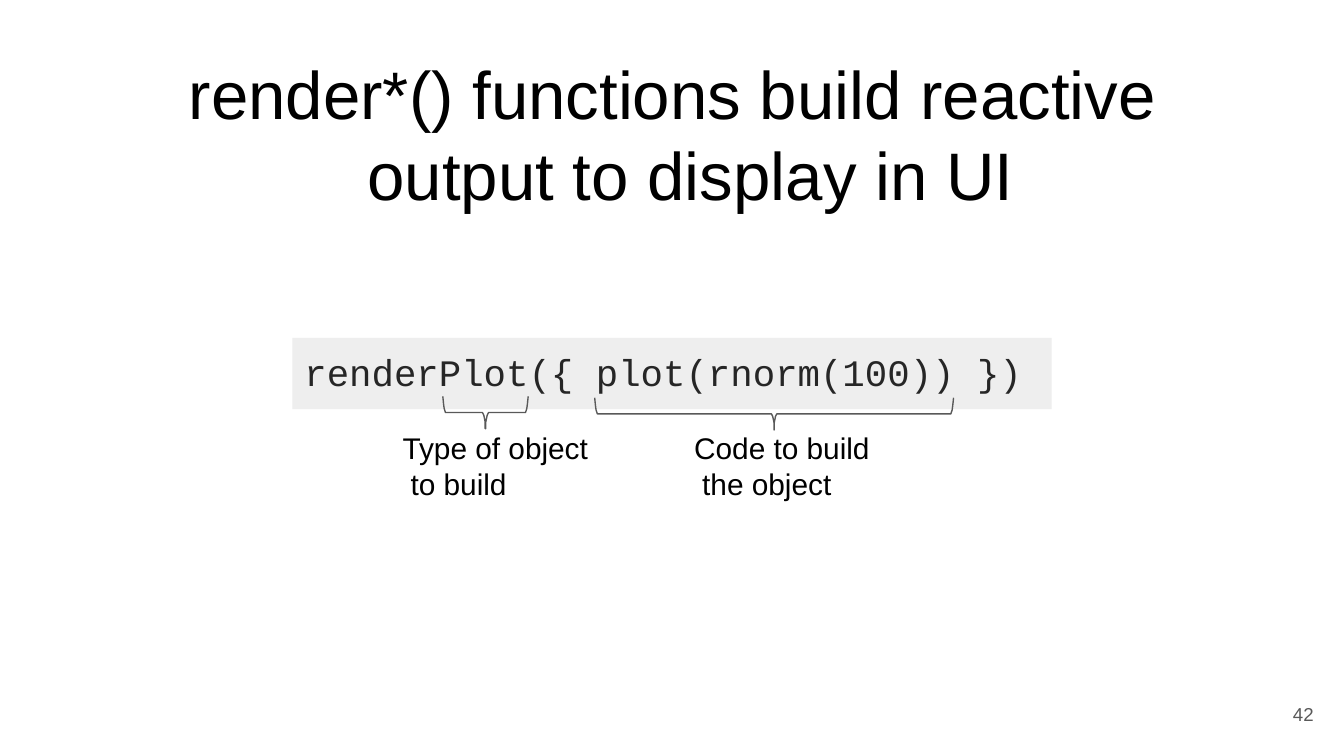
from dataclasses import dataclass

from pptx import Presentation
from pptx.dml.color import RGBColor as RGB
from pptx.enum.shapes import MSO_SHAPE as Shape
from pptx.util import Pt

PX = 4572  # EMU per px, 200 px to the inch
WIDTH, HEIGHT = 2000, 1125
COLORS = {"black": "000000", "code": "262626", "panel": "EEEEEE", "gray": "595959"}


@dataclass
class Label:
    text: str
    box: tuple[int, int, int, int]
    size: int
    color: str = "black"
    font: str = "Arial"
    margin: int = 2
    indent: int = 0
    spacing: float = 1.0
    inset_top: int = 2


@dataclass
class Brace:
    left: int
    right: int
    top: int


LABELS = [
    Label("render*() functions build reactive output to display in UI",
          (278, 76, 1444, 242), 36, margin=269, indent=-266),
    Label("renderPlot({ plot(rnorm(100)) })", (451, 517, 1072, 70), 20,
          "code", "Courier New"),
    Label("Code to build the object", (1031, 637, 268, 110), 16,
          margin=14, indent=-12, spacing=1.01),
    Label("Type of object to build", (597, 637, 284, 110), 16,
          margin=14, indent=-12, spacing=1.01),
    Label("42", (1918, 1046, 42, 34), 10, "gray", margin=6, inset_top=0),
]
BRACES = [Brace(659, 786, 590), Brace(885, 1419, 592)]
CODE_PANEL = (435, 503, 1130, 106)


def rgb(name: str) -> RGB:
    return RGB.from_string(COLORS[name])


def add_label(s, label: Label) -> None:
    tf = s.shapes.add_textbox(*(v * PX for v in label.box)).text_frame
    frame = {"word_wrap": True, "margin_left": 0, "margin_right": 0,
             "margin_top": label.inset_top * PX, "margin_bottom": 0}
    for name, value in frame.items():
        setattr(tf, name, value)
    p = tf.paragraphs[0]
    p.line_spacing = label.spacing
    pPr = p._p.get_or_add_pPr()
    for name, value in {"marL": label.margin, "indent": label.indent}.items():
        pPr.set(name, str(value * PX))
    r = p.add_run()
    r.text = label.text
    for name, value in {"name": label.font, "size": Pt(label.size)}.items():
        setattr(r.font, name, value)
    r.font.color.rgb = rgb(label.color)


def add_panel(s, box: tuple[int, int, int, int]) -> None:
    sp = s.shapes.add_shape(Shape.RECTANGLE, *(v * PX for v in box))
    sp.shadow.inherit = False
    sp.fill.solid()
    sp.fill.fore_color.rgb = rgb("panel")
    sp.line.fill.background()


def add_brace(s, brace: Brace) -> None:
    """Draw a brace opening upwards, its right half mirrored from the left."""
    a, top = brace.left, brace.top
    mid = (a + brace.right) // 2
    half = [(a, top), (a + 1, top + 10), (a + 2, top + 18), (a + 4, top + 24),
            (mid - 4, top + 24), (mid - 2, top + 28), (mid, top + 38), (mid, top + 48)]
    mirrored = [(a + brace.right - x, y) for x, y in reversed(half)]
    builder = s.shapes.build_freeform(*half[0], scale=PX)
    builder.add_line_segments(half[1:] + mirrored, close=False)
    sp = builder.convert_to_shape()
    sp.shadow.inherit = False
    sp.fill.background()
    sp.line.color.rgb = rgb("gray")
    sp.line.width = Pt(0.75)


def main() -> None:
    prs = Presentation()
    prs.slide_width, prs.slide_height = WIDTH * PX, HEIGHT * PX
    s = prs.slides.add_slide(prs.slide_layouts[6])
    add_panel(s, CODE_PANEL)
    for label in LABELS:
        add_label(s, label)
    for brace in BRACES:
        add_brace(s, brace)
    prs.save("out.pptx")


if __name__ == "__main__":
    main()
